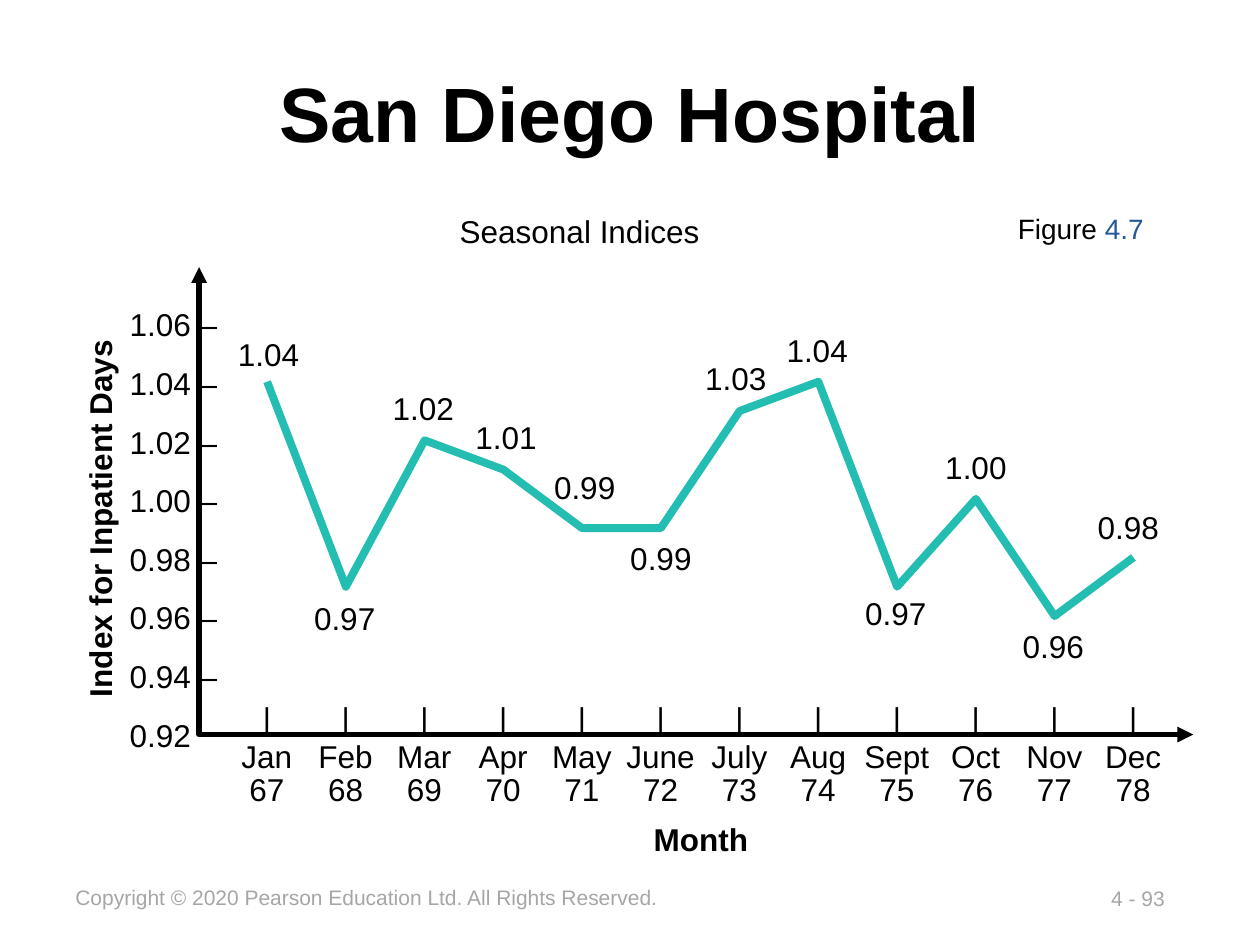
"""Build the San Diego Hospital seasonal indices slide."""
from lxml import etree
from pptx import Presentation, util as u
from pptx.dml.color import RGBColor
from pptx.enum import text
from pptx.oxml.ns import qn

BLACK = RGBColor(0, 0, 0)
GRAY = RGBColor(0xA6, 0xA6, 0xA6)
BLUE = RGBColor(0x25, 0x58, 0x98)
TEAL = RGBColor(0x24, 0xBD, 0xB2)
LEFT, CENTER = text.PP_ALIGN.LEFT, text.PP_ALIGN.CENTER

# Month, period, index, then the label's centre and top relative to its point.
MONTHS = [
    ("Jan", 67, 1.04, 0.01, -0.42), ("Feb", 68, 0.97, -0.01, 0.05),
    ("Mar", 69, 1.02, -0.01, -0.46), ("Apr", 70, 1.01, 0.02, -0.46),
    ("May", 71, 0.99, 0.02, -0.53), ("June", 72, 0.99, 0, 0.04),
    ("July", 73, 1.03, -0.03, -0.46), ("Aug", 74, 1.04, -0.01, -0.45),
    ("Sept", 75, 0.97, -0.01, 0.01), ("Oct", 76, 1.00, 0, -0.45),
    ("Nov", 77, 0.96, -0.01, 0.04), ("Dec", 78, 0.98, -0.04, -0.44),
]
SCALE = ["1.06 –", "1.04 –", "1.02 –", "1.00 –", "0.98 –", "0.96 –", "0.94 –", "0.92"]
LABELS = [
    ("San Diego Hospital", (0.55, 0.39, 8.91, 0.99), 44, True, BLACK, CENTER, 0),
    ("Seasonal Indices", (3.55, 1.63, 2.12, 0.4), 18, False, BLACK, LEFT, 0),
    ("Month", (5.09, 6.46, 0.96, 0.4), 18, True, BLACK, LEFT, 0),
    ("Index for Inpatient Days", (-0.74, 3.9, 3.06, 0.4), 18, True, BLACK, LEFT, 270),
    ("Copyright © 2020 Pearson Education Ltd. All Rights Reserved.",
     (0.5, 6.97, 4.86, 0.3), 12, False, GRAY, LEFT, 0),
    ("4 - 93", (8.72, 6.98, 0.65, 0.3), 12, False, GRAY, LEFT, 0),
]
FIRST_X, STEP_X = 2.12, 0.625
TOP_VALUE, TOP_Y, INCHES_PER_UNIT = 1.04, 3.03, 23.25
AXIS = [(1.58, 2.12), (1.58, 5.83), (9.47, 5.83)]
MONTH_BOX = (1.71, 5.5, 7.7, 0.99)
INSET = 0.1


def add_text(page, lines, place, size=18, bold=False, color=BLACK, align=LEFT, turn=0):
    box = page.shapes.add_textbox(*map(u.Inches, place))
    box.rotation = turn
    frame = box.text_frame
    frame.word_wrap = False
    frame.vertical_anchor = text.MSO_ANCHOR.MIDDLE if size > 40 else text.MSO_ANCHOR.TOP
    for i, line in enumerate(lines):
        para = frame.add_paragraph() if i else frame.paragraphs[0]
        para.text = line
        para.alignment = align
        if "\t" in line:
            add_tabs(para)
        para.font.name, para.font.size, para.font.bold = "Arial", u.Pt(size), bold
        para.font.color.rgb = color
    return frame.paragraphs


def add_tabs(para):
    tabs = etree.SubElement(para._p.get_or_add_pPr(), qn("a:tabLst"))
    for i in range(len(MONTHS)):
        stop = FIRST_X - MONTH_BOX[0] - INSET + i * STEP_X
        etree.SubElement(tabs, qn("a:tab"), pos=str(u.Inches(stop)), algn="ctr")


def add_path(page, points, color, width):
    start, *others = [(u.Inches(x), u.Inches(y)) for x, y in points]
    builder = page.shapes.build_freeform(*start)
    builder.add_line_segments(others, close=False)
    path = builder.convert_to_shape()
    path.shadow.inherit = False
    path.fill.background()
    path.line.color.rgb, path.line.width = color, u.Pt(width)
    return path


def add_axes(page):
    line = add_path(page, AXIS, BLACK, 3).line._get_or_add_ln()
    for end in ("a:headEnd", "a:tailEnd"):
        etree.SubElement(line, qn(end), type="triangle")
    for para in add_text(page, SCALE, (0.93, 2.21, 0.9, 3.82)):
        para.line_spacing = 1.55
    names, periods = ([month[i] for month in MONTHS] for i in (0, 1))
    rows = ["".join(f"\t{cell}" for cell in row) for row in ("|" * len(MONTHS), names, periods)]
    ticks, *captions = add_text(page, rows, MONTH_BOX)
    ticks.space_after = u.Pt(3.6)
    for para in captions:
        para.line_spacing = 0.85


def add_series(page):
    points = [(FIRST_X + i * STEP_X, TOP_Y + (TOP_VALUE - month[2]) * INCHES_PER_UNIT)
              for i, month in enumerate(MONTHS)]
    add_path(page, points, TEAL, 4.5)
    width, height = 0.69, 0.4
    for (x, y), (_, _, value, dx, dy) in zip(points, MONTHS):
        add_text(page, [f"{value:.2f}"], (x + dx - width / 2, y + dy, width, height), align=CENTER)


def main():
    deck = Presentation()
    deck.slide_width, deck.slide_height = u.Inches(10), u.Inches(7.5)
    page = deck.slides.add_slide(deck.slide_layouts[6])
    for words, *style in LABELS:
        add_text(page, [words], *style)
    add_axes(page)
    add_series(page)
    figure = add_text(page, ["Figure "], (7.98, 1.63, 1.25, 0.37), 16)[0]
    span = figure.add_run()
    span.text = "4.7"
    span.font.color.rgb = BLUE
    deck.save("out.pptx")


if __name__ == "__main__":
    main()
